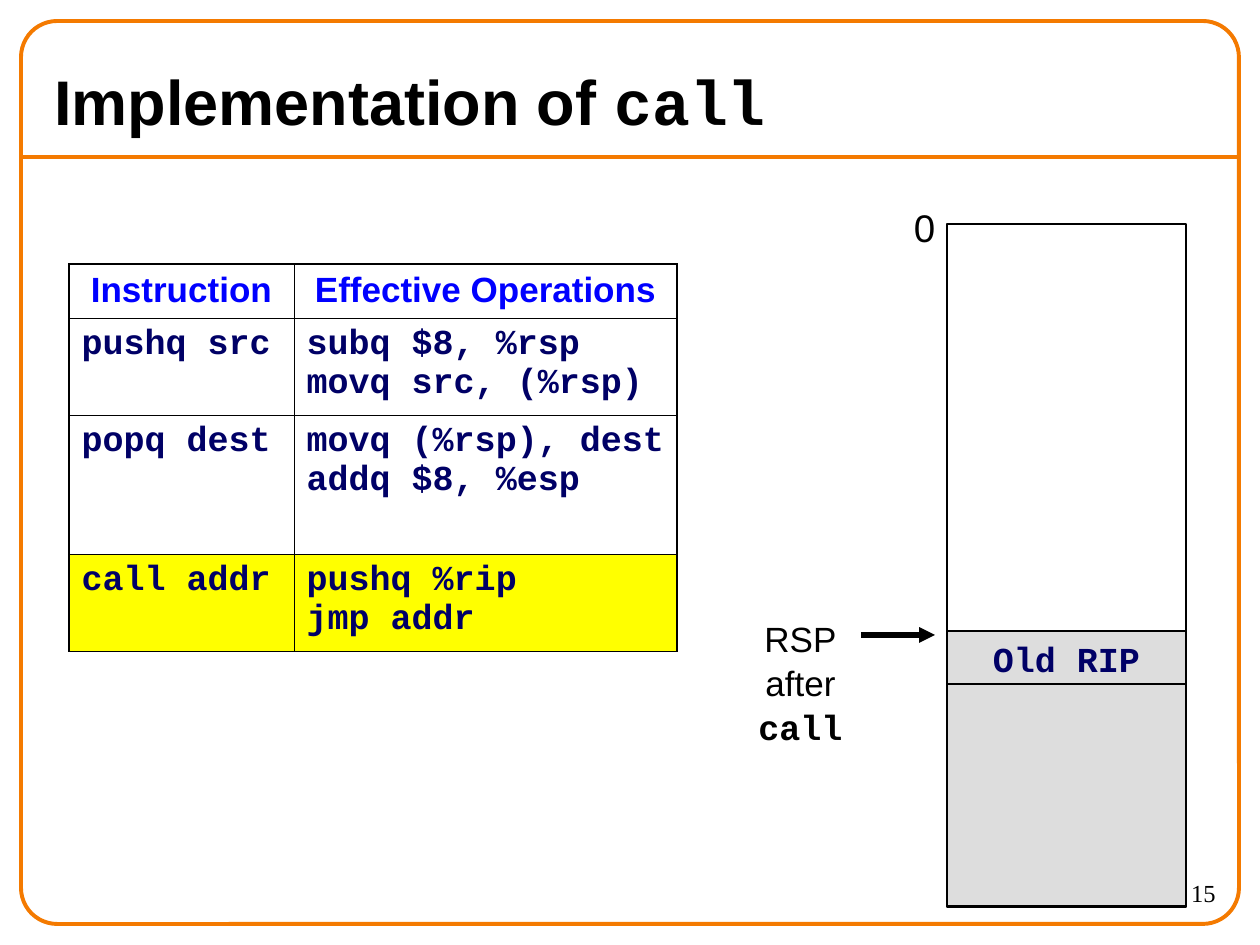
import pptx
import pptx.util
from pptx.dml.color import RGBColor
from pptx.enum.shapes import MSO_CONNECTOR, MSO_SHAPE
from pptx.enum.text import MSO_ANCHOR, PP_ALIGN
from pptx.oxml.ns import qn
from lxml import etree


class Theme:
    sans, mono, serif = "Arial", "Courier New", "Times New Roman"
    black, navy, blue = "000000", "000066", "0000FF"
    orange, yellow, gray = "F47A00", "FFFF00", "DDDDDD"
    title, zero, body, page = 36, 22, 20, 14
    thin, thick = 0.45, 1.08


def px(n):
    return pptx.util.Emu(round(n * 914400 / 126))


def rgb(code):
    return RGBColor.from_string(code)


class Deck:
    def __init__(self, theme):
        self.theme = theme
        self.prs = pptx.Presentation()
        self.prs.slide_width, self.prs.slide_height = px(1260), px(945)
        self.slide = self.prs.slides.add_slide(self.prs.slide_layouts[6])
        self.shapes = self.slide.shapes

    def fill_text(self, frame, runs, size, color, bold=False,
                  align=PP_ALIGN.LEFT):
        """Fill a frame with (text, font) runs; a newline is a line break."""
        para = frame.paragraphs[0]
        para.alignment = align
        font = para.font
        font.size, font.bold = pptx.util.Pt(size), bold
        font.color.rgb = rgb(color)
        if len(runs) == 1:
            font.name = runs[0][1]
        for text, name in runs:
            for i, part in enumerate(text.split("\n")):
                if i:
                    para.add_line_break()
                if part:
                    run = para.add_run()
                    run.text = part
                    if len(runs) > 1:
                        run.font.name = name
        return para

    def text(self, box, runs, size, anchor=MSO_ANCHOR.TOP, **style):
        frame = self.shapes.add_textbox(*map(px, box)).text_frame
        frame.word_wrap = True
        frame.vertical_anchor = anchor
        return self.fill_text(frame, runs, size, self.theme.black, **style)

    def shape(self, kind, box, line, width, fill=None):
        item = self.shapes.add_shape(kind, *map(px, box))
        item.shadow.inherit = False
        if fill:
            item.fill.solid()
            item.fill.fore_color.rgb = rgb(fill)
        else:
            item.fill.background()
        item.line.color.rgb = rgb(line)
        item.line.width = pptx.util.Pt(width)
        return item

    def line(self, start, end, color, width, arrow=False):
        item = self.shapes.add_connector(
            MSO_CONNECTOR.STRAIGHT, *map(px, start + end))
        item.line.color.rgb = rgb(color)
        item.line.width = pptx.util.Pt(width)
        props = item._element.spPr
        if arrow:
            etree.SubElement(props.find(qn("a:ln")), qn("a:tailEnd"),
                             type="triangle")
        etree.SubElement(props, qn("a:effectLst"))

    def edge(self, cell, side, width):
        ln = etree.SubElement(cell._tc.get_or_add_tcPr(), qn("a:ln" + side),
                              w=str(pptx.util.Pt(width)))
        fill = etree.SubElement(ln, qn("a:solidFill"))
        etree.SubElement(fill, qn("a:srgbClr"), val=self.theme.black)

    def table(self, spot, cols, rows, data, marked):
        t = self.theme
        box = (*spot, sum(cols), sum(rows))
        grid = self.shapes.add_table(
            len(rows), len(cols), *map(px, box)).table
        grid.first_row = grid.horz_banding = False
        for col, width in zip(grid.columns, cols):
            col.width = px(width)
        for row, height in zip(grid.rows, rows):
            row.height = px(height)
        for r, line in enumerate(data):
            for c, text in enumerate(line):
                cell = grid.cell(r, c)
                outer = {"L": c == 0, "R": c == len(cols) - 1,
                         "T": r == 0, "B": r == len(rows) - 1}
                for side, out in outer.items():
                    self.edge(cell, side, t.thick if out else t.thin)
                if r == marked:
                    cell.fill.solid()
                    cell.fill.fore_color.rgb = rgb(t.yellow)
                else:
                    cell.fill.background()
                head = r == 0
                self.fill_text(cell.text_frame,
                               [(text, t.sans if head else t.mono)], t.body,
                               t.blue if head else t.navy, bold=True,
                               align=PP_ALIGN.CENTER if head else PP_ALIGN.LEFT)


def main():
    t = Theme
    deck = Deck(t)
    mid = PP_ALIGN.CENTER

    # Frame, rule and page number
    deck.line((21, 157), (1239, 157), t.orange, 2.25)
    frame = deck.shape(MSO_SHAPE.ROUNDED_RECTANGLE, (21, 21, 1218, 903),
                       t.orange, 2.25)
    frame.adjustments[0] = 0.04
    deck.text((1102, 872, 126, 53), [("15", t.serif)], t.page,
              align=PP_ALIGN.RIGHT)

    # Title
    deck.text((42, 53, 1176, 95),
              [("Implementation of ", t.sans), ("call", t.mono)],
              t.title, anchor=MSO_ANCHOR.MIDDLE, bold=True)

    # Instruction table
    deck.table((69, 264), (225, 383), (54, 97, 139, 97), [
        ("Instruction", "Effective Operations"),
        ("pushq src", "subq $8, %rsp\nmovq src, (%rsp)"),
        ("popq dest", "movq (%rsp), dest\naddq $8, %esp"),
        ("call addr", "pushq %rip\njmp addr"),
    ], marked=3)

    # Stack: whole memory, used part, pushed return address
    left, wide = 947, 239
    deck.shape(MSO_SHAPE.RECTANGLE, (left, 224, wide, 683), t.black, 1.5)
    deck.shape(MSO_SHAPE.RECTANGLE, (left, 684, wide, 222), t.black, 0.75,
               t.gray)
    old = deck.shape(MSO_SHAPE.RECTANGLE, (left, 631, wide, 53), t.black,
                     0.75, t.gray)
    old.text_frame.vertical_anchor = MSO_ANCHOR.TOP
    deck.fill_text(old.text_frame, [("Old RIP", t.mono)], t.body, t.navy,
                   bold=True, align=mid)

    # Stack labels and pointer
    deck.text((885, 198, 79, 59), [("0", t.sans)], t.zero, align=mid)
    label = deck.text((692, 609, 217, 139),
                      [("RSP\nafter\n", t.sans), ("call", t.mono)],
                      t.body, align=mid)
    label.line_spacing = 1.05
    label.runs[-1].font.bold = True
    deck.line((861, 635), (935, 635), t.black, 3, arrow=True)

    deck.prs.save("out.pptx")


if __name__ == "__main__":
    main()
